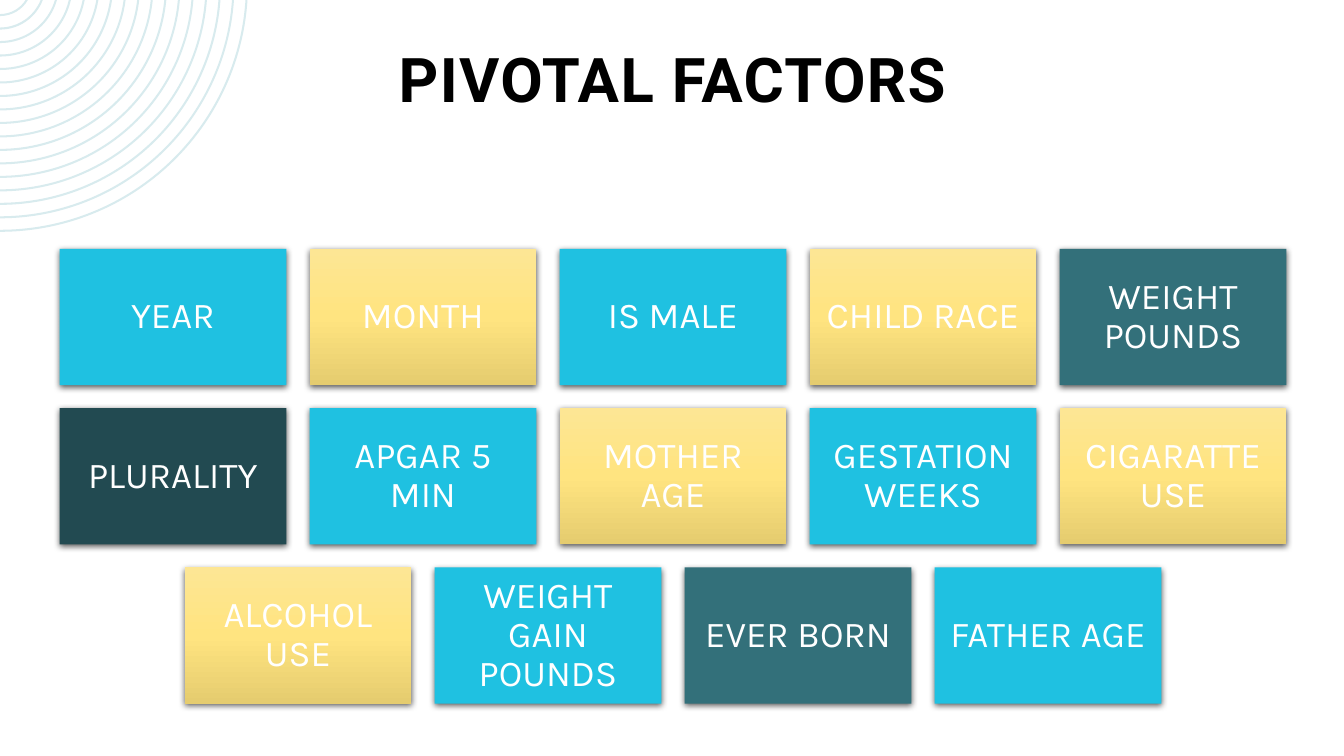
"""Builds the "Pivotal Factors" slide: a title, corner rings and three centred rows of tiles."""
from dataclasses import dataclass
from math import asin, degrees, sqrt

from pptx import Presentation
from pptx.dml.color import RGBColor
from pptx.enum.shapes import MSO_SHAPE as Shape
from pptx.enum.text import MSO_ANCHOR as Anchor, PP_ALIGN as Align
from pptx.oxml import parse_xml
from pptx.oxml.ns import nsdecls, qn
from pptx.util import Pt


@dataclass(frozen=True)
class Theme:
    ink: str = "000000"
    white: str = "FFFFFF"
    ring: str = "D8EBEE"
    cyan: str = "1FC1E1"
    teal: str = "33707A"
    dark: str = "224A51"
    yellow: tuple = ("FDE694", "FFE480", "E5CC6F")
    title_font: str = "Roboto"
    tile_font: str = "Karla"
    title_size: int = 44
    tile_size: int = 26


theme = Theme()
PX = 9144
PAGE_WIDTH, PAGE_HEIGHT, PAGE_MIDDLE = 1333, 750, 667


def write(box, text, font, size, colour, inset):
    frame = box.text_frame
    frame.word_wrap = True
    frame.vertical_anchor = Anchor.MIDDLE
    frame.margin_left = frame.margin_right = inset * PX
    frame.margin_top = frame.margin_bottom = inset * PX
    frame.text = text
    para = frame.paragraphs[0]
    para.alignment = Align.CENTER
    span = para.runs[0]
    span.font.name = font
    span.font.size = Pt(size)
    span.font.color.rgb = RGBColor.from_string(colour)
    return para


def arc(radius, start, sweep):
    return (f'<a:arcTo wR="{round(radius * PX)}" hR="{round(radius * PX)}" '
            f'stAng="{round(start * 60000)}" swAng="{round(sweep * 60000)}"/>')


deck = Presentation()
deck.slide_width, deck.slide_height = PAGE_WIDTH * PX, PAGE_HEIGHT * PX
page = deck.slides.add_slide(deck.slide_layouts[6])

RING_COUNT, RING_WIDTH, RINGS_RIGHT, RINGS_BOTTOM = 17, 2, 245, 230
CENTRE_DROP, OUTER_RADIUS, INNER_RADIUS = 16, 246, 32
ring_step = (OUTER_RADIUS - INNER_RADIUS) / (RING_COUNT - 1)
frame_outline = page.shapes.build_freeform(0, 0)
frame_outline.add_line_segments([(RINGS_RIGHT * PX, 0), (0, RINGS_BOTTOM * PX)])
corner = frame_outline.convert_to_shape()
corner.shadow.inherit = False
corner.fill.solid()
corner.fill.fore_color.rgb = RGBColor.from_string(theme.ring)
corner.line.fill.background()
contours = ""
for ring in range(RING_COUNT):
    outer = OUTER_RADIUS - ring * ring_step
    inner = outer - RING_WIDTH
    outer_start, inner_start = (degrees(asin(CENTRE_DROP / radius)) for radius in (outer, inner))
    start_x = round(sqrt(outer ** 2 - CENTRE_DROP ** 2) * PX)
    inner_y = round((inner - CENTRE_DROP) * PX)
    contours += (f'<a:moveTo><a:pt x="{start_x}" y="0"/></a:moveTo>'
                 + arc(outer, outer_start, 90 - outer_start)
                 + f'<a:lnTo><a:pt x="0" y="{inner_y}"/></a:lnTo>'
                 + arc(inner, 90, inner_start - 90) + '<a:close/>')
outline = next(corner._element.iter(qn("a:path")))
outline.getparent().replace(outline, parse_xml(
    f'<a:path {nsdecls("a")} w="{RINGS_RIGHT * PX}" h="{RINGS_BOTTOM * PX}">{contours}</a:path>'))

title = page.shapes.add_textbox(306 * PX, 35 * PX, 722 * PX, 84 * PX)
heading = write(title, "PIVOTAL FACTORS", theme.title_font, theme.title_size, theme.ink, 0)
heading.runs[0].font.bold = True
heading.runs[0].font._element.set("spc", "100")

TILE_WIDTH, TILE_HEIGHT, GAP, FIRST_TOP = 225, 135, 23, 247
factor_rows = [
    [("YEAR", theme.cyan), ("MONTH", theme.yellow), ("IS MALE", theme.cyan),
     ("CHILD RACE", theme.yellow), ("WEIGHT POUNDS", theme.teal)],
    [("PLURALITY", theme.dark), ("APGAR 5 MIN", theme.cyan), ("MOTHER AGE", theme.yellow),
     ("GESTATION WEEKS", theme.cyan), ("CIGARATTE USE", theme.yellow)],
    [("ALCOHOL USE", theme.yellow), ("WEIGHT GAIN POUNDS", theme.cyan),
     ("EVER BORN", theme.teal), ("FATHER AGE", theme.cyan)],
]
stops = "".join(
    f'<a:gs pos="{index * 50000}"><a:srgbClr val="{colour}"/></a:gs>'
    for index, colour in enumerate(theme.yellow))
gradient_xml = (f'<a:gradFill {nsdecls("a")} rotWithShape="1"><a:gsLst>{stops}</a:gsLst>'
                '<a:lin ang="5400000" scaled="0"/></a:gradFill>')
shadow_xml = (f'<a:outerShdw {nsdecls("a")} blurRad="57150" dist="19050" dir="5400000" algn="ctr" '
              f'rotWithShape="0"><a:srgbClr val="{theme.ink}"><a:alpha val="63000"/></a:srgbClr></a:outerShdw>')

for row, factors in enumerate(factor_rows):
    row_width = len(factors) * (TILE_WIDTH + GAP) - GAP
    left = PAGE_MIDDLE - row_width // 2
    top = FIRST_TOP + row * (TILE_HEIGHT + GAP)
    for column, (label, colour) in enumerate(factors):
        tile = page.shapes.add_shape(
            Shape.RECTANGLE, (left + column * (TILE_WIDTH + GAP)) * PX, top * PX,
            TILE_WIDTH * PX, TILE_HEIGHT * PX)
        tile.line.fill.background()
        tile.shadow.inherit = False
        properties = tile._element.spPr
        properties.find(qn("a:effectLst")).append(parse_xml(shadow_xml))
        if colour == theme.yellow:
            properties.find(qn("a:prstGeom")).addnext(parse_xml(gradient_xml))
        else:
            tile.fill.solid()
            tile.fill.fore_color.rgb = RGBColor.from_string(colour)
        write(tile, label, theme.tile_font, theme.tile_size, theme.white, 11).line_spacing = 0.9

deck.save("out.pptx")
